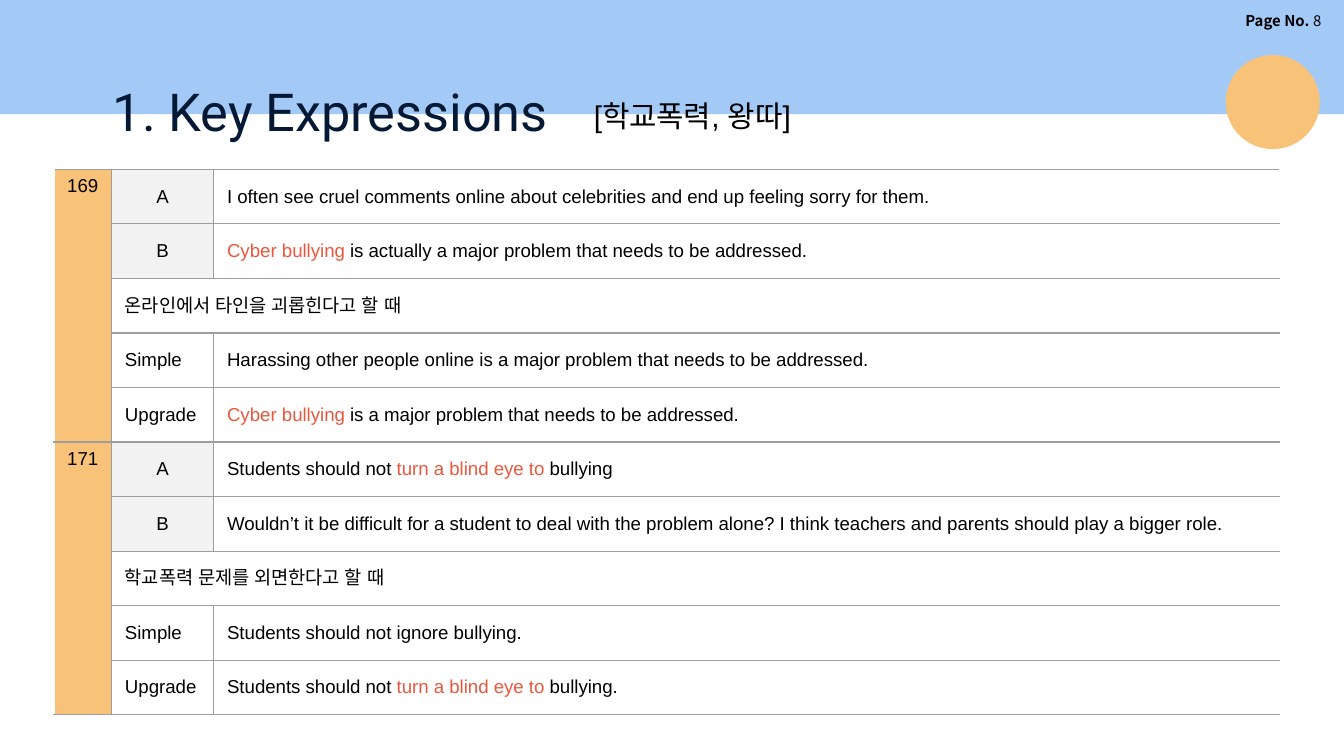
from lxml.etree import SubElement
from pptx import Presentation
from pptx.dml.color import RGBColor
from pptx.enum.shapes import MSO_SHAPE
from pptx.enum.text import MSO_ANCHOR, PP_ALIGN
from pptx.oxml import parse_xml
from pptx.oxml.ns import nsdecls
from pptx.oxml.ns import qn
from pptx.util import Inches, Pt

COLORS = {
    "blue": "A3CAF7",
    "orange": "F8C379",
    "navy": "051934",
    "black": "000000",
    "red": "EB573D",
    "gray": "F2F2F2",
    "line": "9E9E9E",
    "white": "FFFFFF",
}

GROUPS = [
    ("169", [
        ("A", "I often see cruel comments online about celebrities and end up feeling sorry for them."),
        ("B", "*Cyber bullying *is actually a major problem that needs to be addressed."),
        ("온라인에서 타인을 괴롭힌다고 할 때", ""),
        ("Simple", "Harassing other people online is a major problem that needs to be addressed."),
        ("Upgrade", "*Cyber bullying* is a major problem that needs to be addressed."),
    ]),
    ("171", [
        ("A", "Students should not *turn a blind eye to *bullying"),
        ("B", "Wouldn’t it be difficult for a student to deal with the problem alone? "
              "I think teachers and parents should play a bigger role."),
        ("학교폭력 문제를 외면한다고 할 때", ""),
        ("Simple", "Students should not ignore bullying."),
        ("Upgrade", "Students should not *turn a blind eye to *bullying."),
    ]),
]

prs = Presentation()
prs.slide_width, prs.slide_height = Inches(10), Inches(10) * 9 // 16
slide = prs.slides.add_slide(prs.slide_layouts[6])


def style(run, size, face="Arial", color="black", bold=False):
    font = run.font
    font.size, font.name, font.bold = Pt(size), face, bold
    font.color.rgb = RGBColor.from_string(COLORS[color])
    SubElement(run._r.rPr, qn("a:ea")).set("typeface", face)


def write(cell, text):
    para = cell.text_frame.paragraphs[0]
    for i, part in enumerate(text.split("*")):
        if part:
            run = para.add_run()
            run.text = part
            style(run, 10, color="red" if i % 2 else "black")
    return para


for kind, box, color in [
    (MSO_SHAPE.RECTANGLE, (0, 0, 10, 0.85), "blue"),
    (MSO_SHAPE.OVAL, (9.12, 0.41, 0.7, 0.7), "orange"),
]:
    shape = slide.shapes.add_shape(kind, *map(Inches, box))
    shape.shadow.inherit = False
    shape.fill.solid()
    shape.fill.fore_color.rgb = RGBColor.from_string(COLORS[color])
    shape.line.fill.background()

for box, pad, text, size, face, color in [
    ((8.48, 0.04, 1.45, 0.23), 0.05, "Page No. ", 8, "Noto Sans CJK KR", "black"),
    ((0.74, 0.49, 3.58, 0.63), 0.1, "1. Key Expressions", 28, "Roboto", "navy"),
    ((4.32, 0.68, 2.98, 0.37), 0.05, "[학교폭력, 왕따]", 16, "Arial", "black"),
]:
    frame = slide.shapes.add_textbox(*map(Inches, box)).text_frame
    frame.word_wrap = True
    frame.margin_top = frame.margin_bottom = Inches(pad)
    frame.text = text
    para = frame.paragraphs[0]
    style(para.runs[0], size, face, color, bold=size == 8)
    if size == 8:
        para.alignment = PP_ALIGN.RIGHT
        run = para.add_run()
        run.text = "8"
        style(run, size, face)

table = slide.shapes.add_table(
    10, 3, Inches(0.4), Inches(1.26), Inches(9.12), Inches(4.06)
).table
table.first_row = table.horz_banding = False
for col, width in zip(table.columns, (0.43, 0.76, 7.93)):
    col.width = Inches(width)

for g, (number, rows) in enumerate(GROUPS):
    top = 5 * g
    head = table.cell(top, 0)
    head.merge(table.cell(top + 4, 0))
    head.margin_right = Inches(0.05)
    write(head, number)
    for r, (label, text) in enumerate(rows, top):
        tag, body = table.cell(r, 1), table.cell(r, 2)
        para = write(tag, label)
        if label in ("A", "B"):
            para.alignment = PP_ALIGN.CENTER
        if text:
            write(body, text)
        else:
            tag.merge(body)
        tag.vertical_anchor = body.vertical_anchor = MSO_ANCHOR.MIDDLE

        for c in range(3):
            cell = table.cell(r, c)
            tint = "orange" if c == 0 else "gray" if c == 1 and label in ("A", "B") else None
            if tint:
                cell.fill.solid()
                cell.fill.fore_color.rgb = RGBColor.from_string(COLORS[tint])
            else:
                cell.fill.background()
            wide = c == 1 and not text
            edges = {
                "L": "white" if c == 0 else "line",
                "R": "white" if c == 2 or wide else "line",
                "T": "line",
                "B": "line",
            }
            if cell.is_spanned:
                if c == 0:
                    del edges["T"]
                    if r < top + 4:
                        del edges["B"]
                else:
                    del edges["L"]
            props = cell._tc.get_or_add_tcPr()
            for i, (side, color) in enumerate(edges.items()):
                weight = Pt(1 if color == "white" else 0.75)
                props.insert(i, parse_xml(
                    f'<a:ln{side} {nsdecls("a")} w="{weight}"><a:solidFill>'
                    f'<a:srgbClr val="{COLORS[color]}"/></a:solidFill></a:ln{side}>'
                ))

prs.save("out.pptx")
